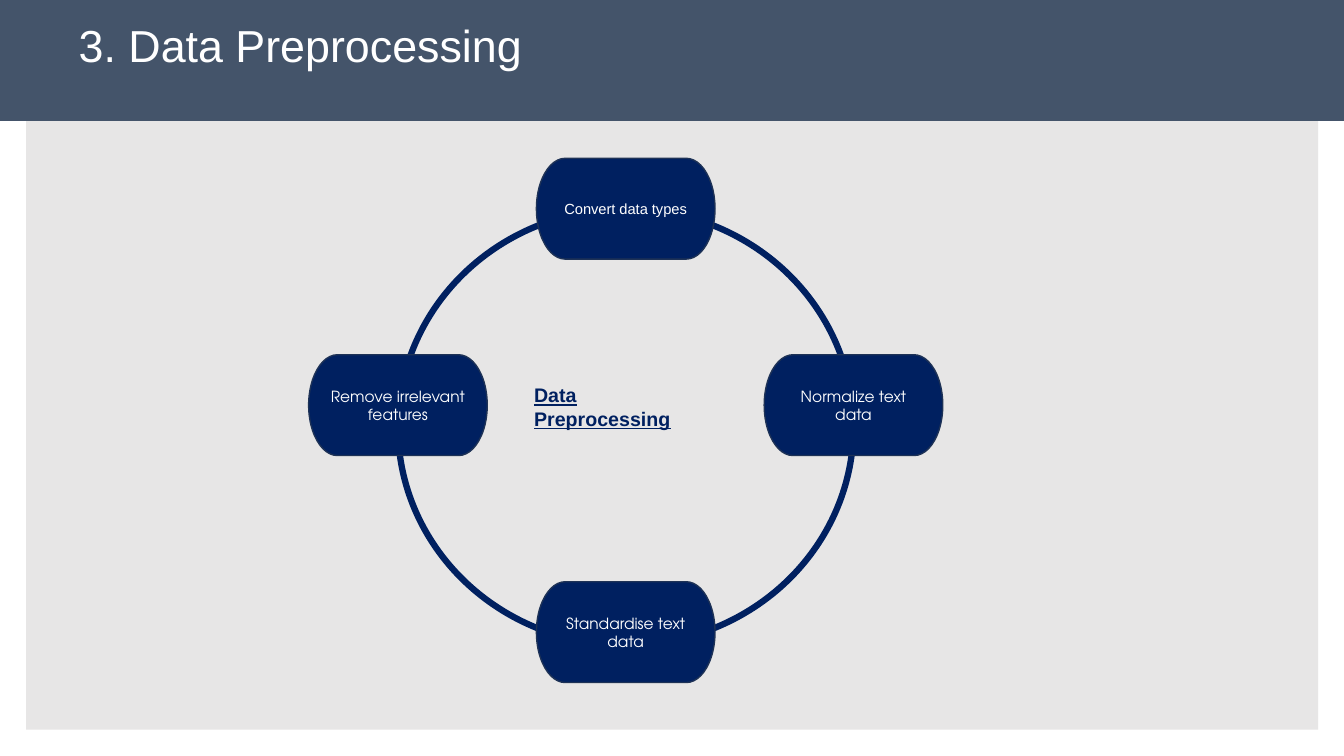
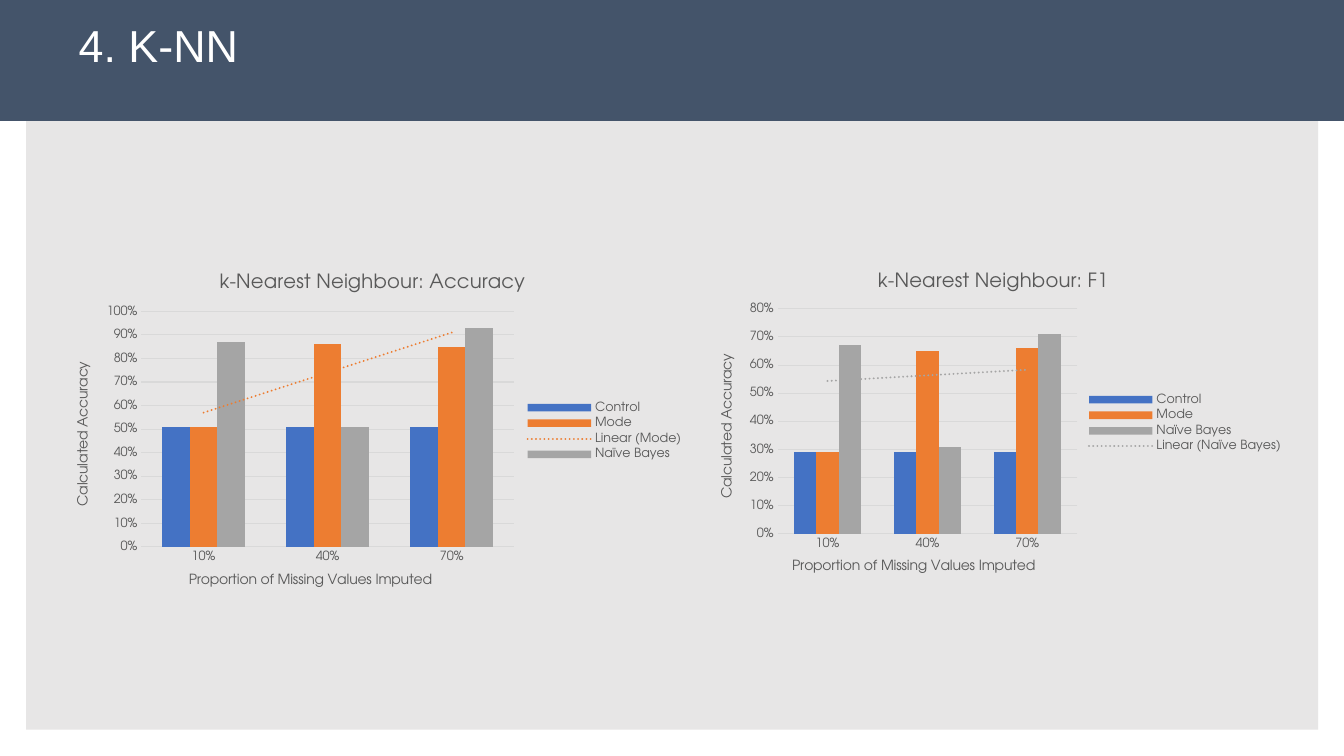
from dataclasses import dataclass

from lxml.etree import SubElement
from pptx import Presentation
from pptx.chart.data import CategoryChartData
from pptx.dml.color import RGBColor
from pptx.enum.chart import XL_CHART_TYPE, XL_LEGEND_POSITION, XL_TICK_MARK
from pptx.enum.shapes import MSO_SHAPE
from pptx.enum.text import MSO_ANCHOR, MSO_AUTO_SIZE, PP_ALIGN
from pptx.oxml import parse_xml
from pptx.oxml.ns import nsdecls, qn
from pptx.util import Cm, Pt


@dataclass(frozen=True)
class Theme:
    # Colours
    band: str = "44546A"
    panel: str = "E7E6E6"
    navy: str = "002060"
    node_edge: str = "1E3256"
    white: str = "FFFFFF"
    chart_text: str = "595959"
    grid: str = "D9D9D9"
    series: tuple = ("4472C4", "ED7D31", "A5A5A5")
    # Fonts and type sizes
    heading_font: str = "Arial"
    body_font: str = "TeX Gyre Adventor"
    title_size: float = 32
    label_size: float = 14
    node_size: float = 11
    first_node_size: float = 10.5
    chart_title_size: float = 14
    axis_title_size: float = 10
    tick_size: float = 9


@dataclass(frozen=True)
class Box:
    """A region in centimetres."""
    left: float
    top: float
    width: float
    height: float

    def lengths(self):
        return Cm(self.left), Cm(self.top), Cm(self.width), Cm(self.height)


THEME = Theme()
PAGE = Box(0, 0, 33.87, 19.05)
BAND = Box(0, 0, PAGE.width, 3.05)
PANEL = Box(0.66, 0.66, 32.56, 17.73)
TITLE = Box(1.73, 0.66, 30.86, 1.09)


# Shared helpers
def style_font(font, name, size, color, bold=False):
    font.name = name
    font.size = Pt(size)
    font.bold = bold
    font.color.rgb = RGBColor.from_string(color)


def style_line(line, color, width):
    line.color.rgb = RGBColor.from_string(color)
    line.width = Pt(width)


def add_run(paragraph, text, *style):
    run = paragraph.add_run()
    run.text = text
    style_font(run.font, *style)
    return run


def add_filled_shape(shapes, kind, box, fill=None, line=None, line_width=1):
    shape = shapes.add_shape(kind, *box.lengths())
    shape.shadow.inherit = False
    if fill:
        shape.fill.solid()
        shape.fill.fore_color.rgb = RGBColor.from_string(fill)
    else:
        shape.fill.background()
    if line:
        style_line(shape.line, line, line_width)
    else:
        shape.line.fill.background()
    return shape


# Shared slide parts
def decorate_layout(layout, slide):
    """Draw the panel and band, then move them behind the layout's placeholders."""
    for index, (box, color) in enumerate(((PANEL, THEME.panel), (BAND, THEME.band))):
        element = add_filled_shape(slide.shapes, MSO_SHAPE.RECTANGLE, box, color).element
        element.nvSpPr.cNvPr.set("id", str(100 + index))
        layout.shapes.element.insert(2 + index, element)
    title = layout.placeholders[0]
    title.left, title.top, title.width, title.height = TITLE.lengths()


def set_title(slide, text):
    frame = slide.shapes.title.text_frame
    frame.auto_size = MSO_AUTO_SIZE.NONE
    frame.vertical_anchor = MSO_ANCHOR.MIDDLE
    paragraph = frame.paragraphs[0]
    paragraph.alignment = PP_ALIGN.LEFT
    paragraph.line_spacing = 0.9
    add_run(paragraph, text, THEME.heading_font, THEME.title_size, THEME.white)


# Cycle diagram
def add_node(shapes, box, text, font, size):
    node = add_filled_shape(shapes, MSO_SHAPE.FLOWCHART_TERMINATOR, box,
                            THEME.navy, THEME.node_edge)
    frame = node.text_frame
    frame.word_wrap = True
    frame.vertical_anchor = MSO_ANCHOR.MIDDLE
    paragraph = frame.paragraphs[0]
    paragraph.alignment = PP_ALIGN.CENTER
    add_run(paragraph, text, font, size, THEME.white)


def add_cycle(slide, ring, label, nodes):
    shapes = slide.shapes.add_group_shape().shapes
    add_filled_shape(shapes, MSO_SHAPE.FLOWCHART_CONNECTOR, ring,
                     line=THEME.navy, line_width=4.5)

    # Centre label
    label_box = Box(ring.left + 3.18, ring.top + 4.27, 5.13, 0.86)
    frame = shapes.add_textbox(*label_box.lengths()).text_frame
    frame.word_wrap = True
    frame.auto_size = MSO_AUTO_SIZE.SHAPE_TO_FIT_TEXT
    run = add_run(frame.paragraphs[0], label, THEME.heading_font,
                  THEME.label_size, THEME.navy, True)
    run.font.underline = True

    # Nodes, centred on fractions of the ring's box
    width, height = 4.5, 2.54
    for text, across, down, font, size in nodes:
        box = Box(ring.left + across * ring.width - width / 2,
                  ring.top + down * ring.height - height / 2, width, height)
        add_node(shapes, box, text, font, size)


# Charts
def add_chart_text(frame, text, size):
    add_run(frame.paragraphs[0], text, THEME.body_font, size, THEME.chart_text)


def style_axis(axis, title):
    axis.major_tick_mark = axis.minor_tick_mark = XL_TICK_MARK.NONE
    style_font(axis.tick_labels.font, THEME.body_font, THEME.tick_size, THEME.chart_text)
    add_chart_text(axis.axis_title.text_frame, title, THEME.axis_title_size)


def add_trend_line(series, color):
    trend = parse_xml(
        f'<c:trendline {nsdecls("c", "a")}><c:spPr><a:ln w="{Pt(1.5)}" cap="rnd">'
        f'<a:solidFill><a:srgbClr val="{color}"/></a:solidFill>'
        '<a:prstDash val="sysDot"/></a:ln></c:spPr>'
        '<c:trendlineType val="linear"/><c:dispRSqr val="0"/>'
        '<c:dispEq val="0"/></c:trendline>')
    series._element.find(qn("c:cat")).addprevious(trend)


def set_plot_area(chart, **fractions):
    plot_area = chart.element.find(".//" + qn("c:plotArea"))
    layout = plot_area.find(qn("c:layout"))
    if layout is None:
        layout = parse_xml(f'<c:layout {nsdecls("c")}/>')
        plot_area.insert(0, layout)
    manual = SubElement(layout, qn("c:manualLayout"))
    settings = {"layoutTarget": "inner", "xMode": "edge", "yMode": "edge", **fractions}
    for name, value in settings.items():
        SubElement(manual, qn(f"c:{name}")).set("val", str(value))


def add_score_chart(slide, box, title, scores, trend_name, maximum, plot_width):
    data = CategoryChartData(number_format="0%")
    data.categories = ["10%", "40%", "70%"]
    for name, values in scores.items():
        data.add_series(name, values)
    chart = slide.shapes.add_chart(XL_CHART_TYPE.COLUMN_CLUSTERED,
                                   *box.lengths(), data).chart
    chart.font.name = THEME.body_font
    chart.font.size = Pt(THEME.axis_title_size)
    add_chart_text(chart.chart_title.text_frame, title, THEME.chart_title_size)
    chart.chart_title.include_in_layout = False
    set_plot_area(chart, x=0.14, y=0.16, w=plot_width, h=0.67)

    # Axes
    style_axis(chart.category_axis, "Proportion of Missing Values Imputed")
    style_line(chart.category_axis.format.line, THEME.grid, 0.75)
    value_axis = chart.value_axis
    style_axis(value_axis, "Calculated Accuracy")
    turned = value_axis.axis_title.element.find(".//" + qn("a:bodyPr"))
    turned.set("rot", "-5400000")
    turned.set("vert", "horz")
    value_axis.minimum_scale, value_axis.maximum_scale = 0, maximum
    value_axis.major_unit = 0.1
    value_axis.tick_labels.number_format = "0%"
    value_axis.tick_labels.number_format_is_linked = False
    value_axis.format.line.fill.background()
    style_line(value_axis.major_gridlines.format.line, THEME.grid, 0.75)

    # Legend
    chart.has_legend = True
    chart.legend.position = XL_LEGEND_POSITION.RIGHT
    chart.legend.include_in_layout = False
    style_font(chart.legend.font, THEME.body_font, THEME.tick_size, THEME.chart_text)

    # Columns and trend line
    plot = chart.plots[0]
    plot.vary_by_categories = False
    plot.gap_width, plot.overlap = 150, 0
    for series, color in zip(plot.series, THEME.series):
        series.format.fill.solid()
        series.format.fill.fore_color.rgb = RGBColor.from_string(color)
        if series.name == trend_name:
            add_trend_line(series, color)


# Slides
def build_preprocessing(slide):
    set_title(slide, "3. Data Preprocessing")
    add_cycle(slide, Box(10.03, 5.26, 11.48, 11), "Data Preprocessing", (
        ("Convert data types", 0.5, 0, THEME.heading_font, THEME.first_node_size),
        ("Standardise text data", 0.5, 0.97, THEME.body_font, THEME.node_size),
        ("Normalize text data", 1, 0.45, THEME.body_font, THEME.node_size),
        ("Remove irrelevant features", 0, 0.45, THEME.body_font, THEME.node_size),
    ))


def build_nearest_neighbour(slide):
    set_title(slide, "4. K-NN")
    add_score_chart(slide, Box(1.3, 6.43, 16.18, 8.86), "k-Nearest Neighbour: Accuracy", {
        "Control": (0.51, 0.51, 0.51),
        "Mode": (0.51, 0.86, 0.85),
        "Naïve Bayes": (0.87, 0.51, 0.93),
    }, "Mode", 1, 0.58)
    add_score_chart(slide, Box(17.48, 6.43, 15.11, 8.46), "k-Nearest Neighbour: F1", {
        "Control": (0.29, 0.29, 0.29),
        "Mode": (0.29, 0.65, 0.66),
        "Naïve Bayes": (0.67, 0.31, 0.71),
    }, "Naïve Bayes", 0.8, 0.5)


def main():
    presentation = Presentation()
    presentation.slide_width, presentation.slide_height = Cm(PAGE.width), Cm(PAGE.height)
    layout = presentation.slide_layouts.get_by_name("Title Only")
    slides = [presentation.slides.add_slide(layout) for _ in range(2)]
    decorate_layout(layout, slides[0])
    build_preprocessing(slides[0])
    build_nearest_neighbour(slides[1])
    presentation.save("out.pptx")


if __name__ == "__main__":
    main()
